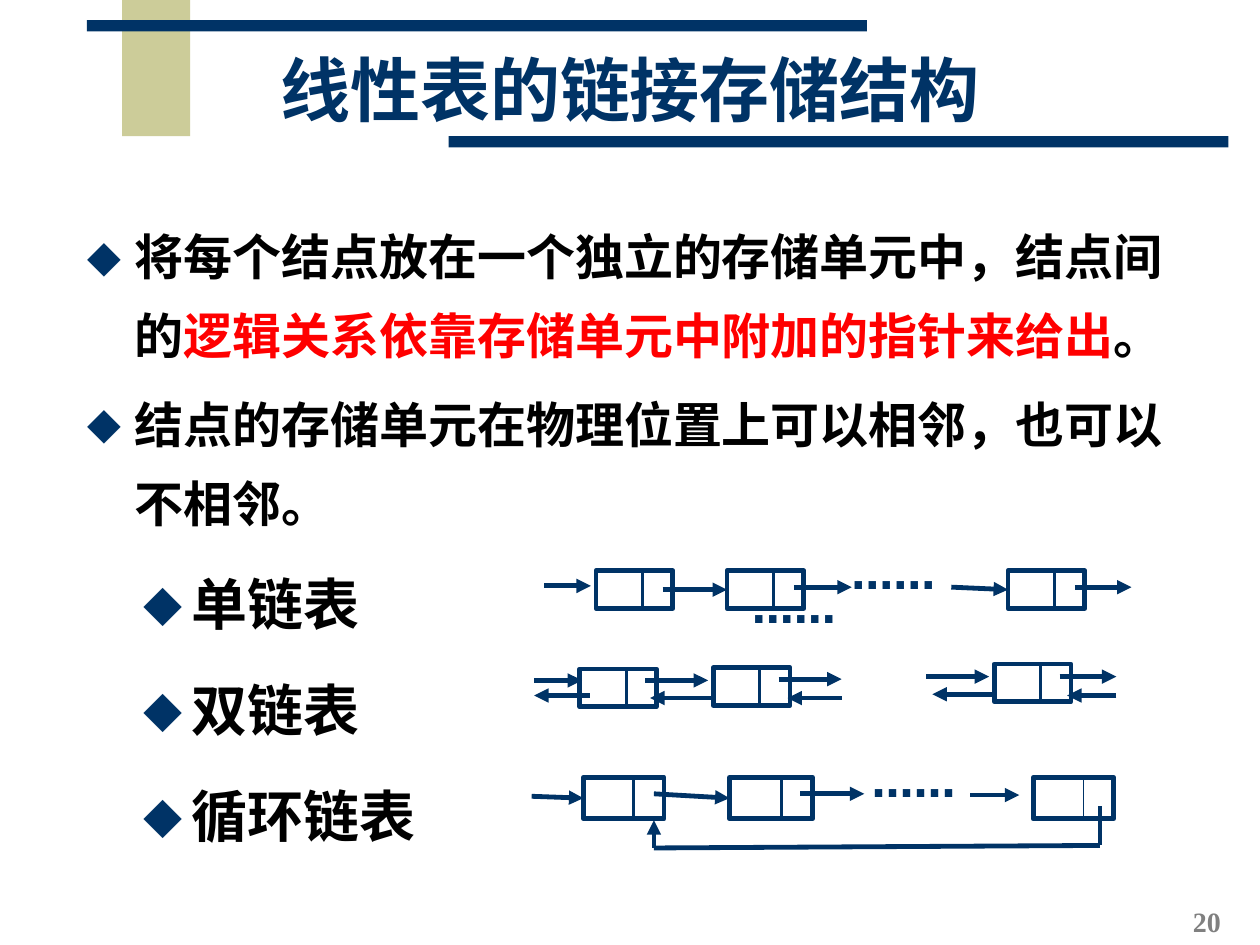
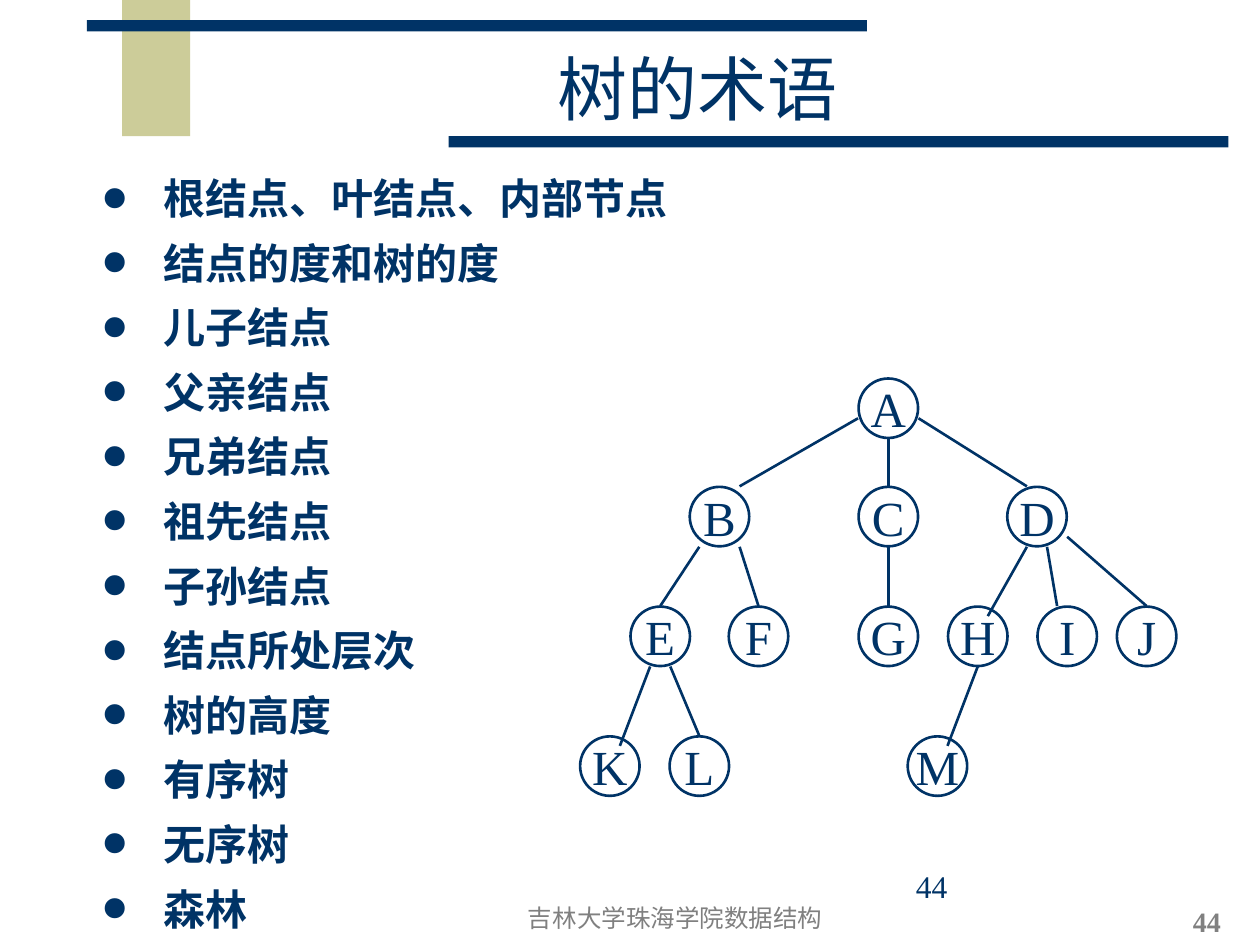
"""Build two data-structure slides: linked storage of lists, and tree terms."""
import dataclasses

import lxml.etree
import pptx
import pptx.dml.color
import pptx.enum.shapes
import pptx.enum.text
import pptx.oxml.ns
import pptx.util

SHAPE = pptx.enum.shapes.MSO_SHAPE
ALIGN = pptx.enum.text.PP_ALIGN
ANCHOR = pptx.enum.text.MSO_ANCHOR
GRID = pptx.util.Inches(0.1)
TREE_STEP = 0.8


@dataclasses.dataclass(frozen=True)
class Theme:
    """Colours, fonts, type sizes and line weights of the deck."""
    navy: str = "003366"
    sand: str = "CCCC99"
    grey: str = "808080"
    black: str = "000000"
    red: str = "FF0000"
    white: str = "FFFFFF"
    serif: str = "Times New Roman"
    hans: str = "Noto Sans CJK SC"
    symbol: str = "DejaVu Sans"
    title: int = 40
    sublist: int = 32
    body: int = 28
    terms: int = 24
    dots: int = 24
    extra: int = 18
    number: int = 16
    footer: int = 14
    heavy: float = 2.75
    medium: float = 1.75
    edge: float = 1.5
    thin: float = 0.75


@dataclasses.dataclass(frozen=True)
class ListStyle:
    """Type, spacing and bullet of one kind of list."""
    size: int
    color: str
    line: float
    gap: float
    indent: float
    bullet: str
    bullet_font: str
    bullet_share: int = 100


THEME = Theme()
POINTS = ListStyle(THEME.body, THEME.black, 45.1, 5.6, 3.8, "⬥", THEME.symbol)
KINDS = ListStyle(THEME.sublist, THEME.black, 54.2, 6.4, 3.8, "⬥", THEME.symbol)
TERMS = ListStyle(THEME.terms, THEME.navy, 34.5, 2.4, 5, "•", THEME.serif, 200)


def units(*values):
    """Turn grid columns and rows into lengths."""
    return [pptx.util.Emu(round(value * GRID)) for value in values]


def rgb(code):
    """Return the colour for a hexadecimal code."""
    return pptx.dml.color.RGBColor.from_string(code)


def add_child(parent, tag, **attributes):
    """Append a drawing element with attributes."""
    return lxml.etree.SubElement(parent, pptx.oxml.ns.qn(tag), **attributes)


def format_span(span, size, color, bold=False, font=THEME.serif, east=THEME.hans):
    """Set the type of one run for Latin and Chinese text."""
    span.font.name = font
    span.font.size = pptx.util.Pt(size)
    span.font.bold = bold
    span.font.color.rgb = rgb(color)
    add_child(span.font._element, "a:ea", typeface=east)


def move(shape, place):
    """Put a shape at left, top, width and height on the grid."""
    shape.left, shape.top, shape.width, shape.height = units(*place)


def add_label(page, place, text, size, color, bold=False, align=ALIGN.LEFT,
              anchor=ANCHOR.TOP, wrap=True, font=THEME.serif, east=THEME.hans):
    """Add a text box with one line."""
    box = page.shapes.add_textbox(*units(*place))
    frame = box.text_frame
    frame.word_wrap = wrap
    frame.vertical_anchor = anchor
    frame.text = text
    para = frame.paragraphs[0]
    para.alignment = align
    format_span(para.runs[0], size, color, bold, font, east)


def add_shape(page, kind, place, fill=None, line=None, weight=THEME.heavy):
    """Add a preset shape with optional fill and outline."""
    shape = page.shapes.add_shape(kind, *units(*place))
    shape.shadow.inherit = False
    if fill:
        shape.fill.solid()
        shape.fill.fore_color.rgb = rgb(fill)
    else:
        shape.fill.background()
    if line:
        shape.line.color.rgb = rgb(line)
        shape.line.width = pptx.util.Pt(weight)
    else:
        shape.line.fill.background()
    return shape


def add_line(page, start, end, weight=THEME.heavy, arrow=False):
    """Add a straight line or arrow between two grid points."""
    line = page.shapes.add_connector(
        pptx.enum.shapes.MSO_CONNECTOR.STRAIGHT, *units(*start, *end))
    line.line.color.rgb = rgb(THEME.navy)
    line.line.width = pptx.util.Pt(weight)
    properties = line.element.spPr
    if arrow:
        add_child(properties.find(pptx.oxml.ns.qn("a:ln")), "a:tailEnd", type="triangle")
    add_child(properties, "a:effectLst")
    return line


def set_bullet(para, style):
    """Give a paragraph its hanging indent and bullet."""
    properties = para._p.get_or_add_pPr()
    indent = units(style.indent)[0]
    properties.set("marL", str(indent))
    properties.set("indent", str(-indent))
    color = add_child(properties, "a:buClr")
    add_child(color, "a:srgbClr", val=THEME.navy)
    add_child(properties, "a:buSzPct", val=str(style.bullet_share * 1000))
    add_child(properties, "a:buFont", typeface=style.bullet_font)
    add_child(properties, "a:buChar", char=style.bullet)


def fill_list(box, place, items, style):
    """Fill a box with bulleted items, each a list of text and colour pairs."""
    move(box, place)
    frame = box.text_frame
    frame.word_wrap = True
    frame.auto_size = pptx.enum.text.MSO_AUTO_SIZE.NONE
    frame.vertical_anchor = ANCHOR.TOP
    frame.margin_top = units(0.9)[0]
    for index, item in enumerate(items):
        para = frame.add_paragraph() if index else frame.paragraphs[0]
        set_bullet(para, style)
        para.alignment = ALIGN.LEFT
        para.line_spacing = pptx.util.Pt(style.line)
        para.space_before = pptx.util.Pt(style.gap if index else 0)
        for text, color in item:
            span = para.add_run()
            span.text = text
            format_span(span, style.size, color, True, THEME.hans)


def plain_items(texts, style):
    """Make one-colour list items."""
    return [[(text, style.color)] for text in texts]


def add_page(deck, title, place, number, bold):
    """Add a page with bands, title and page number."""
    page = deck.slides.add_slide(deck.slide_layouts[1])
    for band, color in (((9.7, 0, 5.4, 10.8), THEME.sand),
                        ((6.9, 1.6, 61.9, 0.9), THEME.navy),
                        ((35.6, 10.8, 61.9, 0.9), THEME.navy)):
        add_shape(page, SHAPE.RECTANGLE, band, color)
    heading = page.shapes.title
    move(heading, place)
    frame = heading.text_frame
    frame.text = title
    frame.vertical_anchor = ANCHOR.MIDDLE
    para = frame.paragraphs[0]
    para.alignment = ALIGN.CENTER
    para.line_spacing = 0.85
    format_span(para.runs[0], THEME.title, THEME.navy, bold)
    add_label(page, (93.7, 71.3, 6.3, 3.7), number, THEME.number, THEME.grey, True)
    return page


def add_node(page, left, top, width=6.1, height=3, split=3.7, weight=THEME.medium):
    """Add a list node with its data and pointer cells."""
    node = add_shape(page, SHAPE.RECTANGLE, (left, top, width, height), line=THEME.navy)
    add_line(page, (left + split, top), (left + split, top + height), weight)
    return node


def add_arrows(page, arrows):
    """Add level arrows given as start, end, row and an optional node to reach."""
    for start, end, row, *nodes in arrows:
        arrow = add_line(page, (start, row), (end, row), arrow=True)
        for node in nodes:
            arrow.end_connect(node, 1)


def add_dots(page, left, top):
    """Add the dots that stand for omitted nodes."""
    add_label(page, (left, top, 9, 5), "……", THEME.dots, THEME.navy, True,
              wrap=False, font=THEME.symbol, east=THEME.symbol)


def add_single_chain(page):
    """Draw the singly linked list."""
    first, second, last = [add_node(page, left, 45.3) for left in (47.3, 57.7, 80)]
    add_arrows(page, [(43.2, 46.9, 46.5), (52.6, 57.7, 46.8, second),
                      (63, 67.6, 46.6), (75.5, 80, 46.6, last), (85.3, 89.8, 46.6)])
    add_dots(page, 66.6, 43)


def add_double_chain(page):
    """Draw the doubly linked list."""
    for left, top in ((46, 53.1), (56.6, 53), (78.9, 52.7)):
        add_node(page, left, top)
    add_arrows(page, [(42.4, 46.2, 54), (51.2, 56.2, 54), (61.8, 66.8, 53.9),
                      (73.5, 78.5, 53.7), (84.1, 88.6, 53.7),
                      (46.8, 42.4, 55.2), (56.4, 51.6, 55.4), (66.8, 62.5, 55.4),
                      (79, 74, 55.1), (88.6, 84.7, 55.2)])
    add_dots(page, 58.7, 45.7)


def add_circular_chain(page):
    """Draw the circular list with its return path."""
    first = add_node(page, 46.3, 61.7, 6.4, 3.3, 4)
    second = add_node(page, 57.9, 61.7, 6.6, 3.3, 4.1)
    add_node(page, 82, 61.7, 6.4, 3.3, 4, THEME.thin)
    add_arrows(page, [(42.2, 46.3, 63.2, first), (51.9, 57.9, 63, second),
                      (63.5, 68.6, 63), (77, 80.9, 63.1)])
    corners = [(87.3, 64), (87.3, 67.1), (51.9, 67.3), (51.9, 65.1)]
    for index, (start, end) in enumerate(zip(corners, corners[1:])):
        add_line(page, start, end, arrow=index == 2)
    add_dots(page, 68.2, 59.5)


def add_tree(page, nodes, edges):
    """Draw round nodes and the edges between them, offset in tree steps."""
    radius = 2.95 * TREE_STEP
    for name, (column, row) in nodes.items():
        circle = add_shape(page, SHAPE.OVAL,
                           (column - radius, row - radius, 2 * radius, 2 * radius),
                           THEME.white, THEME.navy, THEME.edge)
        frame = circle.text_frame
        frame.word_wrap = False
        frame.vertical_anchor = ANCHOR.MIDDLE
        frame.text = name
        frame.paragraphs[0].alignment = ALIGN.CENTER
        format_span(frame.paragraphs[0].runs[0], THEME.body, THEME.navy)
    for (parent, child), leave, reach in edges:
        start, end = [[centre + TREE_STEP * step for centre, step in zip(nodes[name], offset)]
                      for name, offset in ((parent, leave), (child, reach))]
        add_line(page, start, end, THEME.edge)


def build_list_page(deck):
    """Build the page on linked storage of linear lists."""
    page = add_page(deck, "线性表的链接存储结构", (7.5, 1.3, 85, 12.5), "20", True)
    fill_list(page.placeholders[1], (5.9, 15.5, 90.4, 47.4), [
        [("将每个结点放在一个独立的存储单元中，结点间的", THEME.black),
         ("逻辑关系依靠存储单元中附加的指针来给出", THEME.red), ("。", THEME.black)],
        [("结点的存储单元在物理位置上可以相邻，也可以不相邻。", THEME.black)]], POINTS)
    place = (10.4, 42.1, 28.4, 32)
    fill_list(page.shapes.add_textbox(*units(*place)), place,
              plain_items(("单链表", "双链表", "循环链表"), KINDS), KINDS)
    add_single_chain(page)
    add_double_chain(page)
    add_circular_chain(page)


def build_tree_page(deck):
    """Build the page on tree terms."""
    page = add_page(deck, "树的术语", (15, 2.5, 80.7, 10), "44", False)
    terms = ("根结点、叶结点、内部节点", "结点的度和树的度", "儿子结点", "父亲结点",
             "兄弟结点", "祖先结点", "子孙结点", "结点所处层次", "树的高度",
             "有序树", "无序树", "森林")
    fill_list(page.placeholders[1], (7, 12, 50, 63), plain_items(terms, TERMS), TERMS)
    levels = {32.4: {"A": 70.5}, 41: {"B": 57.1, "C": 70.5, "D": 82.3},
              50.5: {"E": 52.4, "F": 60.2, "G": 70.5, "H": 77.6, "I": 84.7, "J": 91},
              60.8: {"K": 48.4, "L": 55.5, "M": 74.4}}
    nodes = {name: (column, row) for row, level in levels.items()
             for name, column in level.items()}
    top = (0, -3)
    add_tree(page, nodes, [
        ("AB", (-3, 1), (2, -3)), ("AC", (0, 3), top), ("AD", (3, 1), (-1, -3)),
        ("BE", (-2, 3), top), ("BF", (2, 3), top), ("CG", (0, 3), top),
        ("DH", (-1, 3), (1, -2)), ("DI", (1, 3), (-1, -3)), ("DJ", (3, 2), top),
        ("EK", (-1, 3), (1, -2)), ("EL", (1, 3), top), ("HM", (0, 3), (1, -2))])
    add_label(page, (71.7, 68.3, 20.8, 5), "44", THEME.extra, THEME.navy)
    add_label(page, (40.7, 69.5, 25.8, 5), "吉林大学珠海学院数据结构", THEME.footer,
              THEME.grey, align=ALIGN.CENTER, anchor=ANCHOR.BOTTOM)


def main():
    """Build and save the deck."""
    deck = pptx.Presentation()
    deck.slide_width, deck.slide_height = units(100, 75)
    build_list_page(deck)
    build_tree_page(deck)
    deck.save("out.pptx")


if __name__ == "__main__":
    main()
